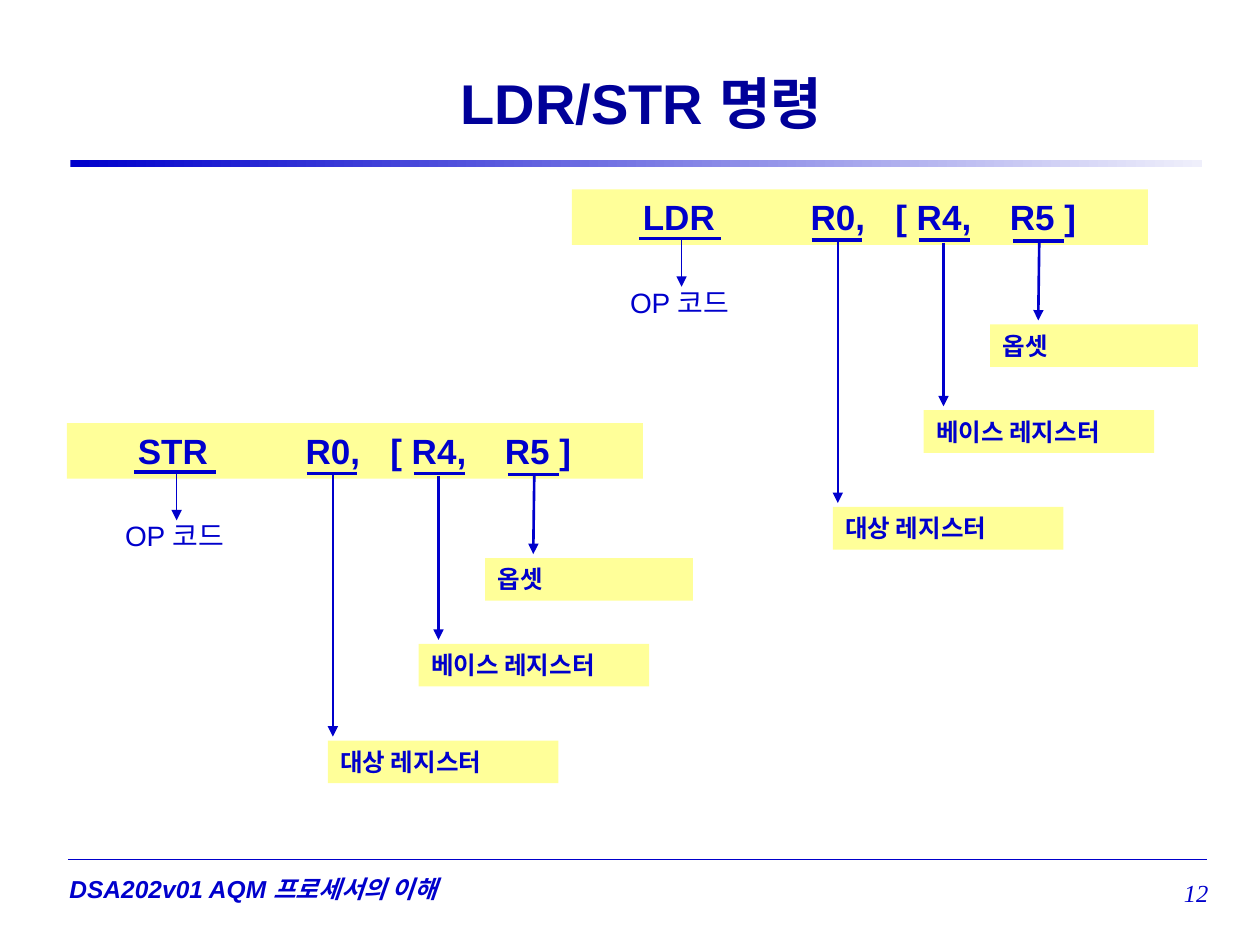
import pptx
import pptx.util
import pptx.dml.color
import pptx.enum.shapes
import pptx.enum.text
import pptx.oxml

Cm = pptx.util.Cm
Pt = pptx.util.Pt
hue = pptx.dml.color.RGBColor.from_string
rect = pptx.enum.shapes.MSO_SHAPE.RECTANGLE
align = pptx.enum.text.PP_ALIGN
anchor = pptx.enum.text.MSO_ANCHOR
blue = "0000CC"
main = pptx.oxml.ns.nsdecls("a")


def write(shape, words, style, side=align.LEFT, mid=False, inset=0.25, stops=()):
    frame = shape.text_frame
    form = {
        "word_wrap": True,
        "auto_size": pptx.enum.text.MSO_AUTO_SIZE.NONE,
        "vertical_anchor": anchor.MIDDLE if mid else anchor.TOP,
        "margin_left": Cm(inset),
        "margin_right": Cm(min(inset, 0.25)),
        "margin_top": Cm(0.13),
        "margin_bottom": Cm(0.13),
    }
    for key, value in form.items():
        setattr(frame, key, value)
    para = frame.paragraphs[0]
    para.text = words
    para.alignment = side
    if stops:
        tabs = "".join(f'<a:tab pos="{Cm(stop)}" algn="l"/>' for stop in stops)
        para._p.get_or_add_pPr().append(
            pptx.oxml.parse_xml(f"<a:tabLst {main}>{tabs}</a:tabLst>"))
    for key, value in {"name": "Arial", **style}.items():
        setattr(para.runs[0].font, key, value)
    para.runs[0].font.color.rgb = hue("000099" if shape.is_placeholder else blue)


def draw(start, end, width, head=False):
    line = shapes.add_connector(
        pptx.enum.shapes.MSO_CONNECTOR.STRAIGHT,
        *[Cm(value) for value in (*start, *end)])
    line.line.color.rgb = hue(blue)
    line.line.width = Pt(width)
    if head:
        line.line._get_or_add_ln().append(
            pptx.oxml.parse_xml(f'<a:tailEnd {main} type="triangle"/>'))
    line._element.spPr.append(pptx.oxml.parse_xml(f"<a:effectLst {main}/>"))


deck = pptx.Presentation()
deck.slide_width = Cm(25.4)
deck.slide_height = Cm(19.05)
slide = deck.slides.add_slide(deck.slide_layouts[5])
shapes = slide.shapes

title = shapes.title
place = {"left": 2.24, "top": 0.79, "width": 21.39, "height": 2.54}
for key, value in place.items():
    setattr(title, key, Cm(value))
write(title, "LDR/STR 명령", {"size": Pt(32), "bold": True}, align.CENTER, True)

rule = shapes.add_shape(rect, Cm(1.42), Cm(3.23), Cm(22.81), Cm(0.13))
rule.shadow.inherit = False
rule.line.fill.background()
rule.fill.gradient()
rule.fill.gradient_angle = 0
for stop, tone in zip(rule.fill.gradient_stops, (blue, "EFEFFB")):
    stop.color.rgb = hue(tone)

draw((1.37, 17.32), (24.33, 17.32), 0.75)
foot = shapes.add_textbox(Cm(1.35), Cm(17.48), Cm(9.83), Cm(0.86))
write(foot, "DSA202v01 AQM 프로세서의 이해",
      {"size": Pt(14), "bold": True, "italic": True}, mid=True, inset=0.05)
page = shapes.add_textbox(Cm(22.02), Cm(17.37), Cm(2.34), Cm(1.27))
write(page, "12", {"name": "Times New Roman", "size": Pt(14), "italic": True},
      align.RIGHT, True, 0)

labels = [
    ("옵셋", 8.43, 2.72, 4.19),
    ("베이스 레지스터", 7.09, 4.45, 4.65),
    ("대상 레지스터", 5.26, 6.4, 4.65),
]
unders = [(1.35, 3.0, 0.99), (4.83, 5.84, 1.02), (6.99, 8.03, 1.02), (8.89, 9.91, 1.04)]
arrows = [
    (2.21, 0.99, 2.21, 1.96, 0.75),
    (5.36, 1.02, 5.36, 6.32, 1.5),
    (7.49, 1.07, 7.49, 4.37, 1.5),
    (9.42, 1.07, 9.4, 2.64, 1.5),
]

for code, left, top in (("STR", 1.35, 8.53), ("LDR", 11.53, 3.82)):
    bar = (f"{code}\tR0,\t[ R4,\tR5 ]", 0, 0, 11.61)
    for words, x, y, wide in (bar, *labels):
        first = words == bar[0]
        box = shapes.add_shape(rect, Cm(left + x), Cm(top + y),
                               Cm(wide), Cm(1.12 if first else 0.86))
        box.shadow.inherit = False
        box.fill.solid()
        box.fill.fore_color.rgb = hue("FFFF99")
        box.line.fill.background()
        write(box, words, {"size": Pt(20 if first else 14), "bold": True},
              inset=1.43 if first else 0.25,
              stops=(3.38, 5.09, 7.4) if first else ())
    note = shapes.add_textbox(Cm(left + 0.53), Cm(top + 1.8), Cm(3.28), Cm(0.94))
    write(note, "OP 코드", {"size": Pt(16)}, align.CENTER)
    for x, end, y in unders:
        draw((left + x, top + y), (left + end, top + y), 2)
    for x, y, end, base, width in arrows:
        draw((left + x, top + y), (left + end, top + base), width, True)

deck.save("out.pptx")
